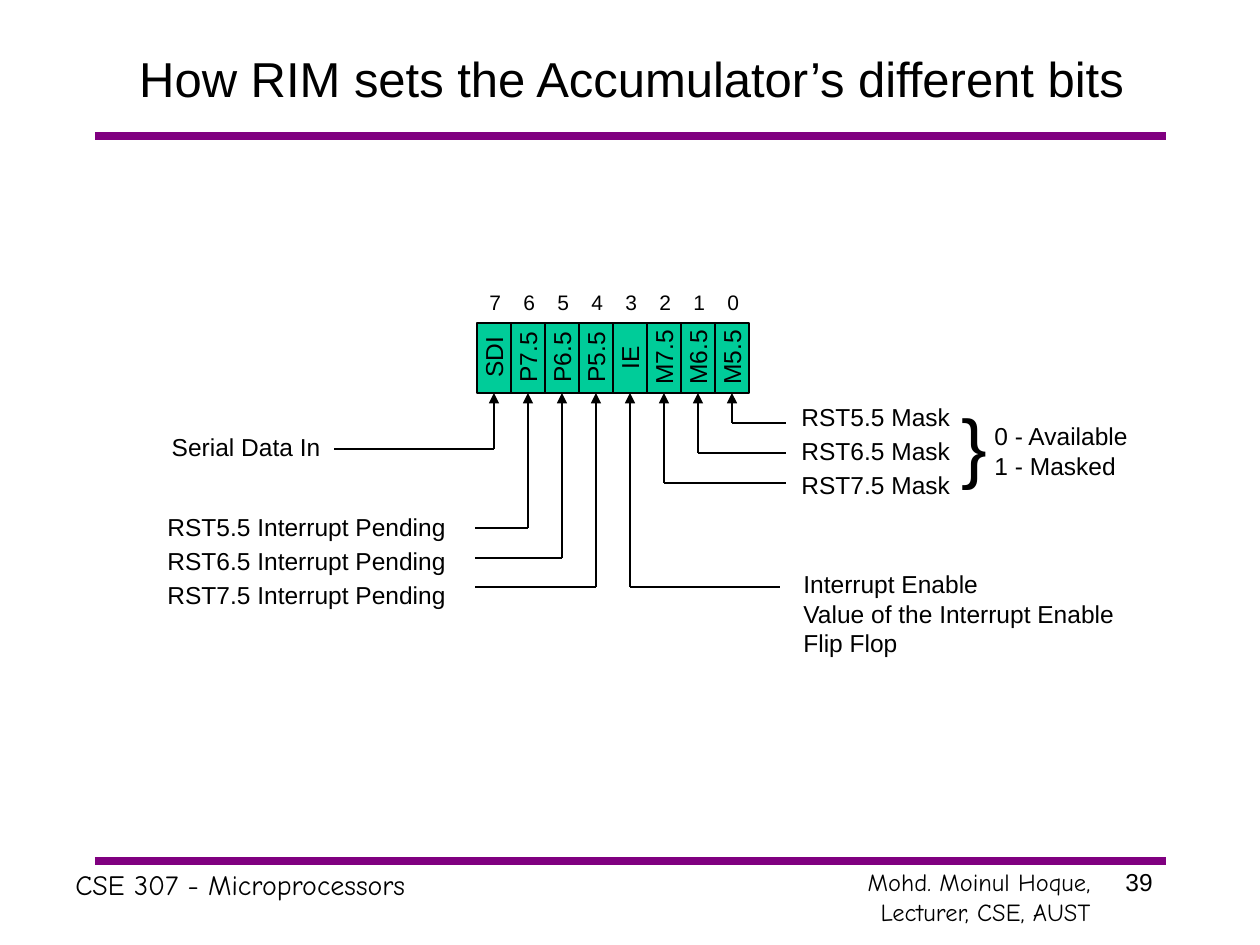
import pptx
import pptx.dml.color
import pptx.enum.shapes
import pptx.enum.text
import pptx.oxml.ns
import pptx.util
from lxml import etree

SCALE = 914400 / 126
BLACK = pptx.dml.color.RGBColor(0x00, 0x00, 0x00)
GREEN = pptx.dml.color.RGBColor(0x00, 0xCC, 0x99)
PURPLE = pptx.dml.color.RGBColor(0x80, 0x00, 0x80)
ALIGN = pptx.enum.text.PP_ALIGN
ANCHOR = pptx.enum.text.MSO_ANCHOR
SHAPES = pptx.enum.shapes

CELLS = ["SDI", "P7.5", "P6.5", "P5.5", "IE", "M7.5", "M6.5", "M5.5"]
CELL_WIDTH, CELL_HEIGHT = 34, 70
LEADS = [(7, 169, 184), (6, 248, 325), (5, 278, 325), (4, 307, 325),
         (3, 307, 630), (2, 203, 636), (1, 173, 636), (0, 143, 636)]
RESETS = ["RST5.5", "RST6.5", "RST7.5"]
RESET_PITCH = 34


def emu(*lengths):
    """Turn px lengths into EMU."""
    return [pptx.util.Emu(round(length * SCALE)) for length in lengths]


def fill_text(frame, text, size=14, font="Arial", align=ALIGN.LEFT,
              anchor=ANCHOR.TOP, wrap=False):
    """Put formatted text into a frame, one paragraph a line."""
    frame.text = text
    frame.word_wrap = wrap
    frame.vertical_anchor = anchor
    for para in frame.paragraphs:
        para.alignment = align
        for span in para.runs:
            span.font.size = pptx.util.Pt(size)
            span.font.name = font
            span.font.color.rgb = BLACK


def add_text(page, box, text, rotation=0, **style):
    """Add a text box in the given box."""
    label = page.shapes.add_textbox(*emu(*box))
    label.rotation = rotation
    fill_text(label.text_frame, text, **style)


def add_line(page, start, end, color=BLACK, width=0.75, arrow=False):
    """Add a straight line, with an optional arrowhead at its start."""
    line = page.shapes.add_connector(SHAPES.MSO_CONNECTOR.STRAIGHT, *emu(*start, *end))
    line.line.color.rgb = color
    line.line.width = pptx.util.Pt(width)
    outline = line.element.spPr
    if arrow:
        stroke = outline.find(pptx.oxml.ns.qn("a:ln"))
        etree.SubElement(stroke, pptx.oxml.ns.qn("a:headEnd")).set("type", "triangle")
    etree.SubElement(outline, pptx.oxml.ns.qn("a:effectLst"))


def draw_header(page, box):
    """Place the title above its rule."""
    left, top, width, height = box
    title = page.shapes.title
    title.left, title.top, title.width, title.height = emu(left + 1, top, width, 95)
    fill_text(title.text_frame, "How RIM sets the Accumulator’s different bits",
              size=28, align=ALIGN.CENTER, anchor=ANCHOR.MIDDLE, wrap=True)
    add_line(page, (left, top + height), (left + width, top + height), PURPLE, 4.5)


def draw_footer(page, box):
    """Place the course, the lecturer and the page number below a rule."""
    left, top, width, height = box
    add_line(page, (left, top), (left + width, top), PURPLE, 4.5)
    add_text(page, (left - 32, top, 714, 47), "CSE 307 - Microprocessors",
             size=16, font="Comic Neue", wrap=True)
    add_text(page, (left + 703, top, 305, height), "Mohd. Moinul Hoque, Lecturer, CSE, AUST",
             font="Comic Neue", align=ALIGN.RIGHT, wrap=True)
    add_text(page, (left + 1018, top, 67, 63), "39", wrap=True)


def draw_register(page, box):
    """Draw the accumulator with its cell names and bit numbers."""
    left, top, width, height = box
    register = page.shapes.add_shape(SHAPES.MSO_SHAPE.RECTANGLE, *emu(*box))
    register.shadow.inherit = False
    register.fill.solid()
    register.fill.fore_color.rgb = GREEN
    register.line.color.rgb = BLACK
    register.line.width = pptx.util.Pt(0.75)
    for index, name in enumerate(CELLS):
        edge = left + index * CELL_WIDTH
        center = edge + CELL_WIDTH // 2
        if index:
            add_line(page, (edge, top + height), (edge, top))
        add_text(page, (center - 46, top + 13, 92, 43), name, rotation=270,
                 align=ALIGN.CENTER)
        add_text(page, (center - 17, top - 40, 36, 38), str(len(CELLS) - 1 - index), size=12)


def draw_leads(page, box, register):
    """Draw an arrow up to each bit and its lead out to a label."""
    left, top, width, height = box
    bottom = register[1] + register[3]
    for bit, drop, reach in LEADS:
        column = register[0] + (len(CELLS) - 1 - bit) * CELL_WIDTH + CELL_WIDTH // 2
        add_line(page, (column, bottom), (column, top + drop), arrow=True)
        add_line(page, (column, top + drop), (left + reach, top + drop))


def draw_labels(page, box):
    """Place the explanations on both sides of the register."""
    left, top, width, height = box
    for index, reset in enumerate(RESETS):
        step = top + index * RESET_PITCH
        add_text(page, (left + 639, step + 116, 174, 43), f"{reset} Mask")
        add_text(page, (left + 5, step + 226, 304, 43), f"{reset} Interrupt Pending")
    add_text(page, (left + 9, top + 146, 174, 43), "Serial Data In", align=ALIGN.RIGHT)
    add_text(page, (left + 799, top + 111, 50, 106), "}", size=44)
    add_text(page, (left + 832, top + 135, 160, 72), "0 - Available\n1 - Masked")
    add_text(page, (left + 641, top + 283, 338, 101),
             "Interrupt Enable\nValue of the Interrupt Enable\nFlip Flop")


def draw_diagram(page, box):
    """Draw the register with its leads and labels."""
    left, top, width, height = box
    register = (left + 327, top + 43, len(CELLS) * CELL_WIDTH, CELL_HEIGHT)
    draw_register(page, register)
    draw_leads(page, box, register)
    draw_labels(page, box)


def main():
    """Build and save the deck."""
    deck = pptx.Presentation()
    deck.slide_width, deck.slide_height = emu(1260, 945)
    page = deck.slides.add_slide(deck.slide_layouts[5])
    draw_header(page, (95, 30, 1071, 106))
    draw_diagram(page, (150, 280, 992, 390))
    draw_footer(page, (95, 861, 1071, 72))
    deck.save("out.pptx")


if __name__ == "__main__":
    main()
